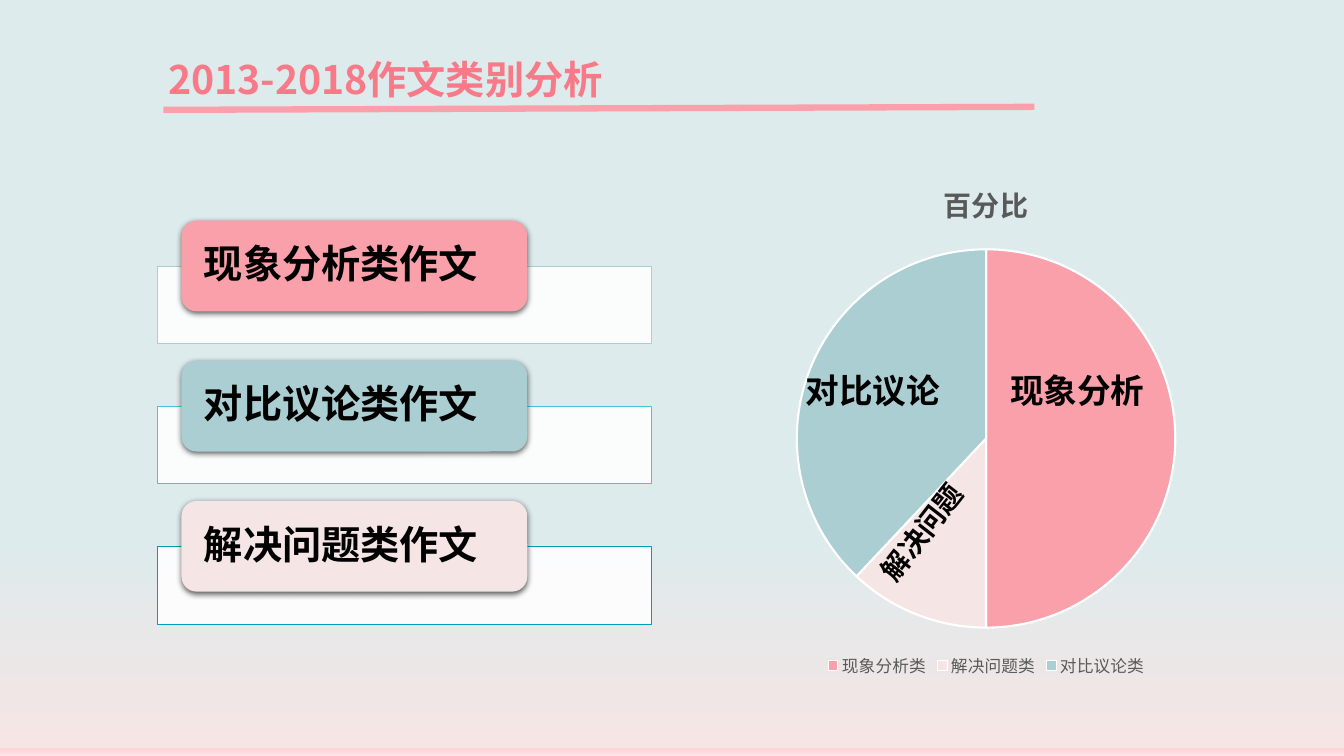
from dataclasses import dataclass

from pptx import Presentation
from pptx.chart.data import CategoryChartData
from pptx.dml.color import RGBColor
from pptx.enum.chart import XL_CHART_TYPE as ChartType, XL_LEGEND_POSITION as LegendPosition
from pptx.enum.shapes import MSO_CONNECTOR as Connector, MSO_SHAPE as Shape
from pptx.enum.text import MSO_ANCHOR as Anchor, PP_ALIGN as Align
from pptx.oxml import parse_xml
from pptx.oxml.ns import nsdecls, qn
from pptx.oxml.xmlchemy import OxmlElement
from pptx.util import Inches, Pt


@dataclass(frozen=True)
class Theme:
    heading_font: str = "Noto Sans CJK SC"
    chart_font: str = "Quicksand"
    title: str = "F87987"
    pink: str = "FAA0AA"
    teal: str = "AACED2"
    blush: str = "F5E5E4"
    black: str = "000000"
    white: str = "FFFFFF"
    gray: str = "595959"
    panel_lines: tuple = ("AACED2", "42C6D8", "009FB8")
    background: tuple = ((70, "DDEBED"), (99, "F5E5E4"), (99, "FDD4D9"), (100, "FDE3E6"))
    heading_size: float = 28
    label_size: float = 24
    small_size: float = 20
    legend_size: float = 11.9


THEME = Theme()


def color(value):
    return RGBColor.from_string(value)


def write_text(frame, text, size=THEME.heading_size, font_color=THEME.black,
               anchor=Anchor.TOP, side_inset=0.1, edge_inset=0.05, line_spacing=None):
    frame.word_wrap = True
    frame.vertical_anchor = anchor
    frame.margin_left = frame.margin_right = Inches(side_inset)
    frame.margin_top = frame.margin_bottom = Inches(edge_inset)
    paragraph = frame.paragraphs[0]
    paragraph.alignment = Align.LEFT
    paragraph.line_spacing = line_spacing
    run = paragraph.add_run()
    run.text = text
    style_font(run.font, size, font_color, THEME.heading_font, bold=True)


def style_font(font, size, font_color, name, bold=False):
    font.size = Pt(size)
    font.bold = bold
    font.name = name
    font.color.rgb = color(font_color)
    properties = font._element
    east_asian = OxmlElement("a:ea")
    east_asian.set("typeface", name)
    properties.find(qn("a:latin")).addnext(east_asian)


def paint_background(slide):
    fill = slide.background.fill
    fill.gradient()
    fill.gradient_angle = 270
    stops = slide.element.find(".//" + qn("a:gsLst"))
    for stop in list(stops):
        stops.remove(stop)
    for position, value in THEME.background:
        stops.append(parse_xml(
            f'<a:gs {nsdecls("a")} pos="{position * 1000}"><a:srgbClr val="{value}"/></a:gs>'))


def add_heading(slide, text):
    title = slide.shapes.title
    title.left, title.top = Inches(1.57), Inches(0.5)
    title.width, title.height = Inches(8.36), Inches(0.57)
    write_text(title.text_frame, text, font_color=THEME.title)
    line = slide.shapes.add_connector(
        Connector.STRAIGHT, Inches(1.62), Inches(1.09), Inches(10.26), Inches(1.06))
    line.line.color.rgb = color(THEME.pink)
    line.line.width = Pt(4.5)
    line.element.spPr.append(OxmlElement("a:effectLst"))


def add_box(slide, kind, left, top, width, height, fill):
    box = slide.shapes.add_shape(kind, Inches(left), Inches(top), Inches(width), Inches(height))
    box.shadow.inherit = False
    box.fill.solid()
    box.fill.fore_color.rgb = color(fill)
    return box


def add_card(slide, text, top, fill, panel_line):
    panel = add_box(slide, Shape.RECTANGLE, 1.56, top + 0.45, 4.9, 0.77, THEME.white)
    panel.line.color.rgb = color(panel_line)
    panel.line.width = Pt(0.5)
    opacity = OxmlElement("a:alpha")
    opacity.set("val", "90000")
    panel.element.spPr.find(qn("a:solidFill"))[0].append(opacity)

    card = add_box(slide, Shape.ROUNDED_RECTANGLE, 1.8, top, 3.43, 0.9, fill)
    card.line.fill.background()
    card.element.spPr.find(qn("a:effectLst")).append(parse_xml(
        f'<a:outerShdw {nsdecls("a")} blurRad="{Pt(4.5)}" dist="{Pt(1.5)}" dir="5400000" '
        f'algn="ctr" rotWithShape="0"><a:srgbClr val="{THEME.black}">'
        '<a:alpha val="63000"/></a:srgbClr></a:outerShdw>'))
    write_text(card.text_frame, text, anchor=Anchor.MIDDLE, side_inset=0.18,
               edge_inset=0, line_spacing=0.9)


def add_pie(slide, name, slices):
    data = CategoryChartData()
    data.categories = [category for category, _, _ in slices]
    data.add_series(name, [value for _, value, _ in slices])
    chart = slide.shapes.add_chart(
        ChartType.PIE, Inches(5.87), Inches(1.59), Inches(7.82), Inches(5.16), data).chart
    chart.font.size = Pt(10)
    chart.font.name = THEME.chart_font
    chart.has_title = True
    title_run = chart.chart_title.text_frame.paragraphs[0].add_run()
    title_run.text = name
    style_font(title_run.font, THEME.small_size, THEME.gray, THEME.heading_font, bold=True)
    chart.has_legend = True
    chart.legend.position = LegendPosition.BOTTOM
    chart.legend.include_in_layout = False
    style_font(chart.legend.font, THEME.legend_size, THEME.gray, THEME.chart_font)

    plot = chart.plots[0]
    plot.vary_by_categories = True
    for index, (_, _, fill) in enumerate(slices):
        point = plot.series[0].points[index].format
        point.fill.solid()
        point.fill.fore_color.rgb = color(fill)
        point.line.color.rgb = color(THEME.white)
        point.line.width = Pt(1.5)

    plot_area = chart.element.find(".//" + qn("c:plotArea"))
    for layout in plot_area.findall(qn("c:layout")):
        plot_area.remove(layout)
    plot_area.insert(0, parse_xml(
        f'<c:layout {nsdecls("c")}><c:manualLayout><c:layoutTarget val="inner"/>'
        '<c:xMode val="edge"/><c:yMode val="edge"/><c:x val="0.26"/><c:y val="0.17"/>'
        '<c:w val="0.48"/><c:h val="0.73"/></c:manualLayout></c:layout>'))


def add_label(slide, text, left, top, size=THEME.label_size, rotation=0):
    label = slide.shapes.add_textbox(Inches(left), Inches(top), Inches(1.88), Inches(0.67))
    label.rotation = rotation
    write_text(label.text_frame, text, size=size)


def main():
    presentation = Presentation()
    presentation.slide_width, presentation.slide_height = Inches(13.33), Inches(7.5)
    slide = presentation.slides.add_slide(presentation.slide_layouts[5])
    paint_background(slide)
    add_heading(slide, "2013-2018作文类别分析")

    cards = (("现象分析类作文", THEME.pink), ("对比议论类作文", THEME.teal),
             ("解决问题类作文", THEME.blush))
    for index, (text, fill) in enumerate(cards):
        add_card(slide, text, 2.19 + 1.39 * index, fill, THEME.panel_lines[index])

    add_pie(slide, "百分比", (("现象分析类", 50, THEME.pink), ("解决问题类", 12, THEME.blush),
                           ("对比议论类", 38, THEME.teal)))
    add_label(slide, "现象分析", 9.92, 3.62)
    add_label(slide, "解决问题", 8.47, 4.79, size=THEME.small_size, rotation=307.9)
    add_label(slide, "对比议论", 7.89, 3.62)
    presentation.save("out.pptx")


if __name__ == "__main__":
    main()
